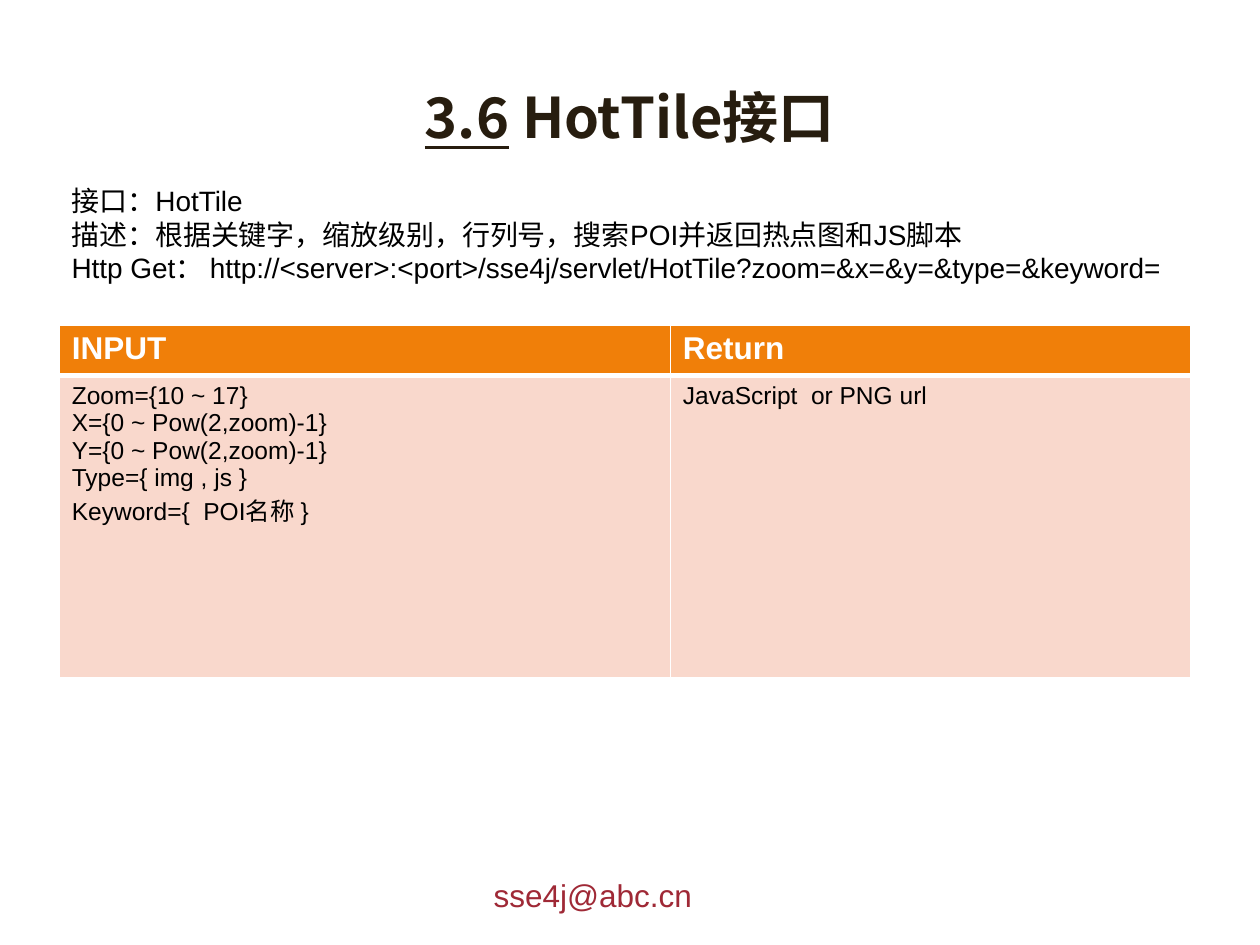
from lxml import etree
from pptx import Presentation
from pptx.dml.color import RGBColor
from pptx.enum.text import MSO_ANCHOR, PP_ALIGN
from pptx.oxml.ns import qn
from pptx.util import Inches, Pt

MIDDLE = MSO_ANCHOR.MIDDLE
LEFT, CENTER = PP_ALIGN.LEFT, PP_ALIGN.CENTER
LATIN, CHINESE = "Arial", "Noto Sans CJK SC"
WHITE, BLACK, BROWN, RED = "FFFFFF", "000000", "271D0F", "9F2936"
ORANGE, PINK = "F07F09", "F9D8CC"


def color(value):
    """Turn a hex string into a colour."""
    return RGBColor.from_string(value)


def style_span(span, size, ink, bold=False, name=LATIN):
    """Format one run, with a matching font for Chinese characters."""
    font = span.font
    font.size, font.bold, font.name = Pt(size), bold, name
    font.color.rgb = color(ink)
    font._element.find(qn("a:latin")).addnext(
        etree.Element(qn("a:ea"), typeface=CHINESE))


def fill_text(frame, text, size, ink, bold=False):
    """Write lines of text as paragraphs in one style."""
    frame.text = text
    for para in frame.paragraphs:
        para.alignment = LEFT
        for span in para.runs:
            style_span(span, size, ink, bold)


def add_box(page, box, wrap=True):
    """Add an empty text box and return its frame."""
    frame = page.shapes.add_textbox(*map(Inches, box)).text_frame
    frame.word_wrap = wrap
    return frame


def add_title(page, box, number, name):
    """Add a centred title with an underlined section number."""
    frame = add_box(page, box)
    frame.vertical_anchor = MIDDLE
    para = frame.paragraphs[0]
    para.alignment = CENTER
    for text, underline in ((number, True), (" " + name, False)):
        span = para.add_run()
        span.text = text
        style_span(span, 32, BROWN, True, CHINESE)
        span.font.underline = underline


def set_borders(cell, widths):
    """Draw white cell borders of the given widths in points."""
    properties = cell._tc.get_or_add_tcPr()
    for index, (side, width) in enumerate(widths.items()):
        line = etree.Element(qn(f"a:ln{side}"), w=str(Pt(width)))
        solid = etree.SubElement(line, qn("a:solidFill"))
        etree.SubElement(solid, qn("a:srgbClr"), val=WHITE)
        properties.insert(index, line)


def add_parameter_table(page, box, columns, heights, rows):
    """Add a table with an orange header above a pale body."""
    table = page.shapes.add_table(
        len(rows), len(columns), *map(Inches, box)).table
    for column, width in zip(table.columns, columns):
        column.width = Inches(width)
    styles = ((18, WHITE, True, ORANGE, 1, 3), (14, BLACK, False, PINK, 3, 1))
    for r, (height, texts, style) in enumerate(zip(heights, rows, styles)):
        size, ink, bold, background, top, bottom = style
        table.rows[r].height = Inches(height)
        for c, text in enumerate(texts):
            cell = table.cell(r, c)
            fill_text(cell.text_frame, text, size, ink, bold)
            cell.fill.solid()
            cell.fill.fore_color.rgb = color(background)
            set_borders(cell, {"L": 1, "R": 1, "T": top, "B": bottom})


def build_interface_page(deck):
    """Build the page that describes the HotTile interface."""
    page = deck.slides.add_slide(deck.slide_layouts[6])
    contact = add_box(page, (3.82, 6.9, 1.86, 0.4), wrap=False)
    fill_text(contact, "sse4j@abc.cn", 18, RED)
    add_title(page, (0.5, 0.3, 9, 1.25), "3.6", "HotTile接口")
    add_parameter_table(
        page, (0.47, 2.58, 8.98, 2.8), (4.85, 4.13), (0.39, 2.4),
        (("INPUT", "Return"),
         ("Zoom={10 ~ 17}\nX={0 ~ Pow(2,zoom)-1}\nY={0 ~ Pow(2,zoom)-1}\n"
          "Type={ img , js }\nKeyword={  POI名称 }",
          "JavaScript  or PNG url")))
    summary = add_box(page, (0.47, 1.41, 8.98, 0.91))
    fill_text(summary, "接口：HotTile\n"
              "描述：根据关键字，缩放级别，行列号，搜索POI并返回热点图和JS脚本\n"
              "Http Get： http://<server>:<port>/sse4j/servlet/HotTile"
              "?zoom=&x=&y=&type=&keyword=", 16, BLACK)


deck = Presentation()
deck.slide_width, deck.slide_height = Inches(10), Inches(7.5)
build_interface_page(deck)
deck.save("out.pptx")
